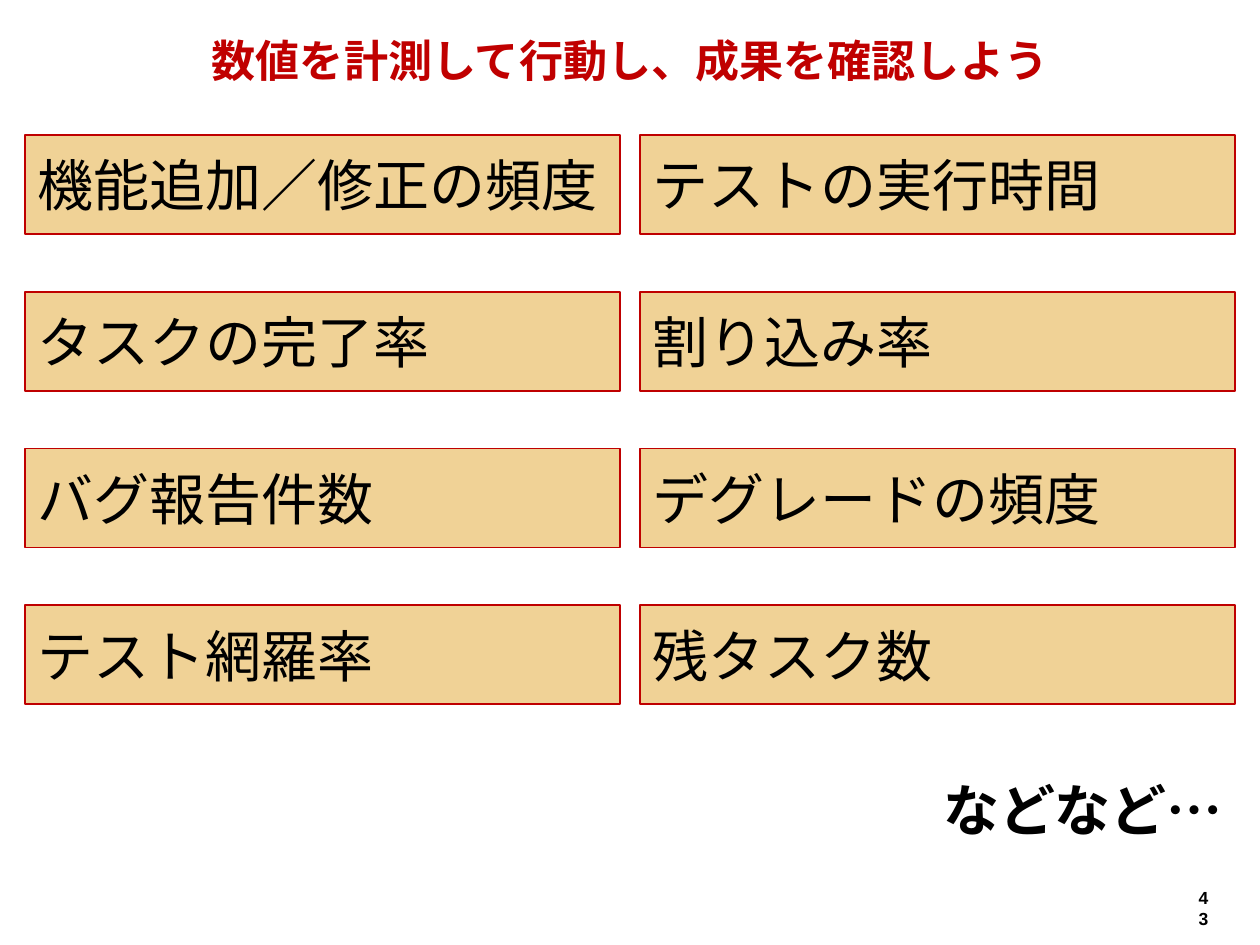
"""Build a slide of eight metrics to measure, in two columns."""
from dataclasses import dataclass

import pptx
import pptx.dml.color
import pptx.enum.lang
import pptx.enum.shapes
import pptx.enum.text
import pptx.util
from lxml import etree
from pptx.oxml.ns import qn

Cm = pptx.util.Cm
Pt = pptx.util.Pt
Align = pptx.enum.text.PP_ALIGN
Anchor = pptx.enum.text.MSO_ANCHOR


@dataclass(frozen=True)
class Theme:
    red: str = "C00000"
    edge: str = "BF0000"
    sand: str = "F0D296"
    black: str = "000000"
    white: str = "FFFFFF"
    latin: str = "Arial"
    asian: str = "Noto Sans CJK JP"
    head: float = 25.2
    body: float = 32
    small: float = 10


@dataclass(frozen=True)
class Box:
    left: float
    top: float
    width: float
    height: float

    def args(self) -> tuple:
        return tuple(Cm(n) for n in (self.left, self.top, self.width, self.height))


@dataclass(frozen=True)
class Metric:
    text: str
    col: int
    row: int


THEME = Theme()
ROWS = (
    ("機能追加／修正の頻度", "テストの実行時間"),
    ("タスクの完了率", "割り込み率"),
    ("バグ報告件数", "デグレードの頻度"),
    ("テスト網羅率", "残タスク数"),
)
METRICS = [Metric(text, col, row)
           for row, pair in enumerate(ROWS) for col, text in enumerate(pair)]


def color(code: str):
    return pptx.dml.color.RGBColor.from_string(code)


def write(shape, text: str, *, size: float = THEME.body, tint: str = THEME.black,
          bold: bool = False, align=Align.LEFT, anchor=Anchor.MIDDLE,
          face: str = THEME.latin) -> None:
    frame = shape.text_frame
    frame.word_wrap = True
    frame.auto_size = pptx.enum.text.MSO_AUTO_SIZE.NONE
    frame.vertical_anchor = anchor
    para = frame.paragraphs[0]
    para.alignment = align
    run = para.add_run()
    run.text = text
    font = run.font
    font.size, font.bold, font.name = Pt(size), bold, face
    font.color.rgb = color(tint)
    font.language_id = pptx.enum.lang.MSO_LANGUAGE_ID.JAPANESE
    latin = run._r.rPr.find(qn("a:latin"))
    asian = etree.Element(qn("a:ea"), typeface=THEME.asian)
    latin.addnext(asian)


def cell(col: int, row: int, top: float = 2.72) -> Box:
    return Box(0.5 + 12.4 * col, top + 3.16 * row, 12, 2)


def panel(slide, item: Metric) -> None:
    kind = pptx.enum.shapes.MSO_SHAPE.RECTANGLE
    shape = slide.shapes.add_shape(kind, *cell(item.col, item.row).args())
    shape.shadow.inherit = False
    shape.fill.solid()
    shape.fill.fore_color.rgb = color(THEME.sand)
    shape.line.color.rgb = color(THEME.edge)
    shape.line.width = Pt(1)
    write(shape, item.text)


def label(slide, box: Box, text: str, **style) -> None:
    write(slide.shapes.add_textbox(*box.args()), text, align=Align.RIGHT, **style)


def title(slide, box: Box, text: str) -> None:
    shape = slide.shapes.title
    shape.left, shape.top, shape.width, shape.height = box.args()
    shape.line.color.rgb = color(THEME.white)
    shape.line.width = Pt(0.75)
    write(shape, text, size=THEME.head, tint=THEME.red, bold=True,
          align=Align.CENTER, face=THEME.asian)


def main() -> None:
    deck = pptx.Presentation()
    deck.slide_width, deck.slide_height = Cm(25.4), Cm(19.05)
    slide = deck.slides.add_slide(deck.slide_layouts[5])
    title(slide, Box(1, 0.71, 23.4, 1), "数値を計測して行動し、成果を確認しよう")
    for item in METRICS:
        panel(slide, item)
    label(slide, cell(1, 0, top=15.32), "などなど…", bold=True)
    label(slide, Box(23.9, 17.75, 0.71, 0.69), "43", size=THEME.small,
          bold=True, anchor=Anchor.TOP)
    deck.save("out.pptx")


if __name__ == "__main__":
    main()
